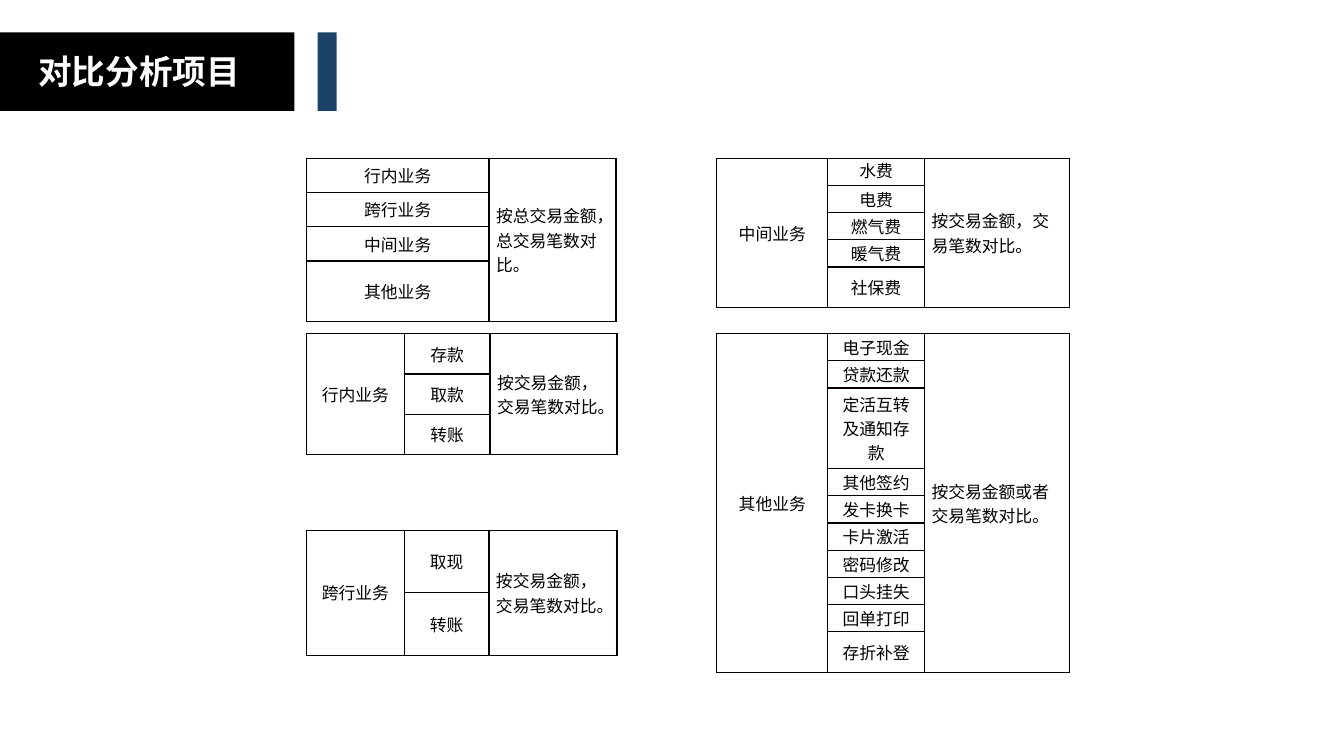
"""Build the slide of comparison tables for banking business."""
from lxml.etree import SubElement
from pptx import Presentation
from pptx.dml.color import RGBColor
from pptx.enum.lang import MSO_LANGUAGE_ID
from pptx.enum.shapes import MSO_SHAPE
from pptx.enum.text import MSO_ANCHOR, MSO_AUTO_SIZE, PP_ALIGN
from pptx.oxml import parse_xml
from pptx.oxml.ns import nsdecls, qn
from pptx.util import Inches, Pt

FONT = "Noto Sans CJK SC"
COLORS = {"black": "000000", "blue": "1B4367", "white": "FFFFFF", "edge": "080000"}
LEFT, RIGHT = 3.04, 7.11
TOP, MID, LOW = 1.57, 3.31, 5.26
WIDE = [1.1, 0.96, 1.44]
NOTE = "按交易金额，交易笔数对比。"
TABLES = [
    (LEFT, TOP, [1.81, 1.26], [0.34] * 3 + [0.6], None,
     ["行内业务", "跨行业务", "中间业务", "其他业务"],
     "按总交易金额，总交易笔数对比。"),
    (LEFT, MID, [0.97, 0.85, 1.26], [0.4] * 3, "行内业务",
     ["存款", "取款", "转账"], NOTE),
    (LEFT, LOW, [0.97, 0.84, 1.27], [0.62] * 2, "跨行业务",
     ["取现", "转账"], NOTE),
    (RIGHT, TOP, WIDE, [0.27] * 4 + [0.4], "中间业务",
     ["水费", "电费", "燃气费", "暖气费", "社保费"], NOTE),
    (RIGHT, MID, WIDE, [0.27] * 2 + [0.8] + [0.27] * 6 + [0.4], "其他业务",
     ["电子现金", "贷款还款", "定活互转及通知存款", "其他签约", "发卡换卡",
      "卡片激活", "密码修改", "口头挂失", "回单打印", "存折补登"],
     "按交易金额或者交易笔数对比。"),
]


def add_run(para, text, size, color, bold=False):
    run = para.add_run()
    run.text = text
    font = run.font
    font.size = Pt(size)
    font.bold = bold
    font.color.rgb = RGBColor.from_string(COLORS[color])
    font.language_id = MSO_LANGUAGE_ID.SIMPLIFIED_CHINESE
    font.name = FONT
    SubElement(font._element, qn("a:ea"), typeface=FONT)


def add_bar(slide, left, width, color):
    bar = slide.shapes.add_shape(
        MSO_SHAPE.RECTANGLE, Inches(left), Inches(0.32), Inches(width), Inches(0.78))
    bar.shadow.inherit = False
    bar.fill.solid()
    bar.fill.fore_color.rgb = RGBColor.from_string(COLORS[color])
    bar.line.fill.background()


def add_title(slide, text):
    box = slide.shapes.add_textbox(Inches(0), Inches(0.46), Inches(2.76), Inches(0.5))
    frame = box.text_frame
    frame.word_wrap = True
    frame.auto_size = MSO_AUTO_SIZE.SHAPE_TO_FIT_TEXT
    para = frame.paragraphs[0]
    para.alignment = PP_ALIGN.CENTER
    add_run(para, text, 24, "white", True)


def style_cell(cell):
    cell.margin_left = cell.margin_right = Inches(0.07)
    cell.margin_top = cell.margin_bottom = Inches(0)
    cell.vertical_anchor = MSO_ANCHOR.MIDDLE
    cell.fill.background()
    props = cell._tc.get_or_add_tcPr()
    for spot, side in enumerate("LRTB"):
        props.insert(spot, parse_xml(
            f'<a:ln{side} {nsdecls("a")} w="{Pt(1)}"><a:solidFill>'
            f'<a:srgbClr val="{COLORS["edge"]}"/></a:solidFill></a:ln{side}>'))


def fill_cell(cell, text, align):
    para = cell.text_frame.paragraphs[0]
    para.alignment = align
    add_run(para, text, 12, "black")


def add_grid(slide, left, top, cols, rows, group, items, note):
    table = slide.shapes.add_table(
        len(rows), len(cols), Inches(left), Inches(top),
        Inches(sum(cols)), Inches(sum(rows))).table
    table.first_row = table.horz_banding = False
    for col, width in zip(table.columns, cols):
        col.width = Inches(width)
    for row, height in zip(table.rows, rows):
        row.height = Inches(height)
    for cell in table.iter_cells():
        style_cell(cell)
    last = len(cols) - 1
    spans = [(last, note, PP_ALIGN.LEFT)]
    if group:
        spans.append((0, group, PP_ALIGN.CENTER))
    for col, text, align in spans:
        table.cell(0, col).merge(table.cell(len(rows) - 1, col))
        fill_cell(table.cell(0, col), text, align)
    for row, text in enumerate(items):
        fill_cell(table.cell(row, last - 1), text, PP_ALIGN.CENTER)
    return table


def main():
    deck = Presentation()
    deck.slide_width, deck.slide_height = Inches(13.33), Inches(7.5)
    slide = deck.slides.add_slide(deck.slide_layouts[6])
    add_bar(slide, 0, 2.92, "black")
    add_bar(slide, 3.15, 0.19, "blue")
    add_title(slide, "对比分析项目")
    grids = [add_grid(slide, *data) for data in TABLES]
    grids[3].cell(0, 1).vertical_anchor = MSO_ANCHOR.TOP
    deck.save("out.pptx")


if __name__ == "__main__":
    main()
